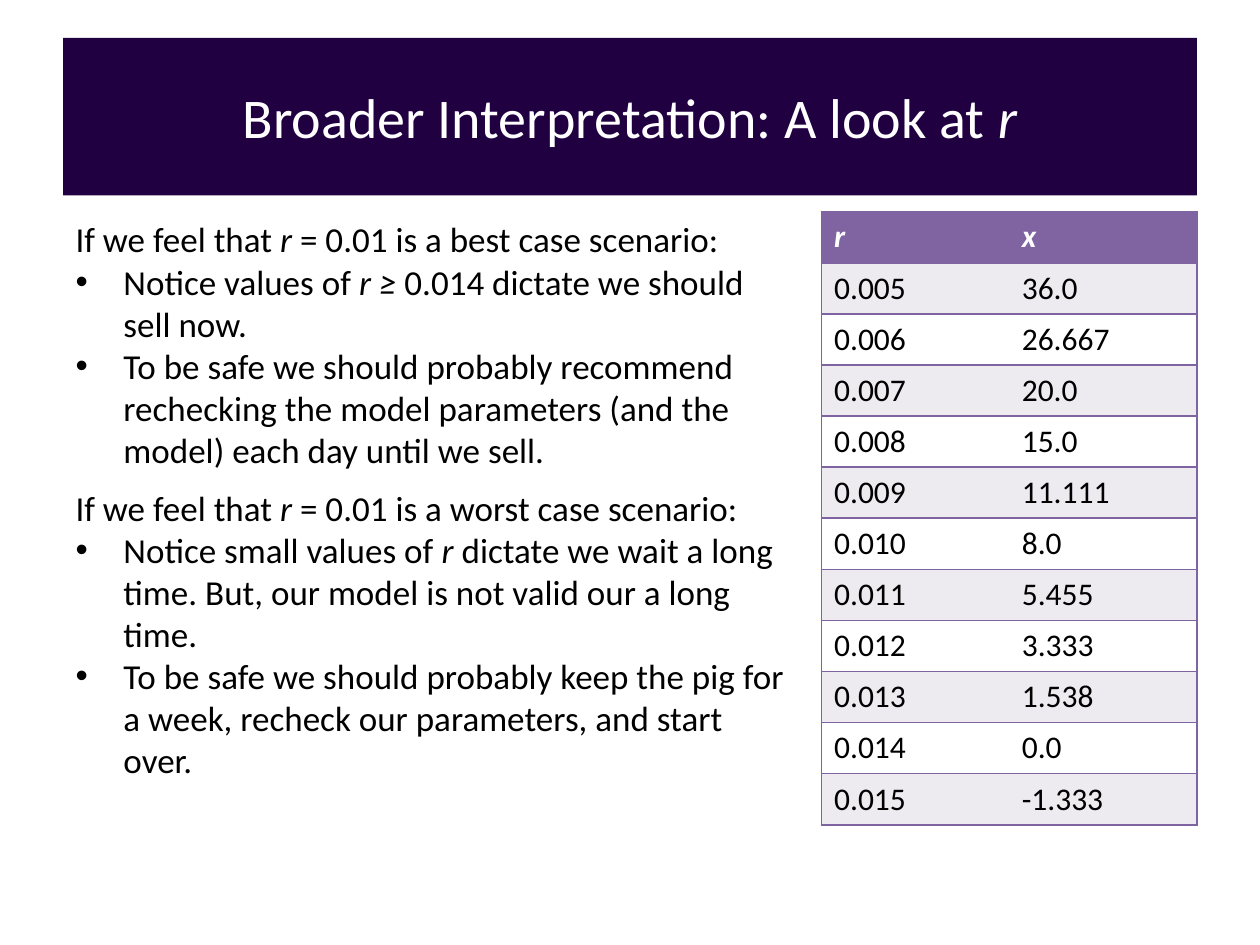
"""Build a slide on how the growth parameter r affects the best time to sell."""
from lxml.etree import SubElement
from pptx import Presentation
from pptx.dml.color import RGBColor
from pptx.enum.text import MSO_ANCHOR, MSO_AUTO_SIZE, PP_ALIGN
from pptx.oxml.ns import qn
from pptx.util import Inches, Pt

NAVY = RGBColor(0x21, 0x00, 0x42)
PURPLE = RGBColor(0x80, 0x64, 0xA2)
LAVENDER = RGBColor(0xED, 0xEA, 0xF0)
WHITE = RGBColor(0xFF, 0xFF, 0xFF)
BLACK = RGBColor(0x00, 0x00, 0x00)
NO_GRID_STYLE = "{2D5ABB26-0587-4C30-8999-92F81FD0307C}"


def write(paragraph, text, size=20, color=BLACK, bold=False, align=PP_ALIGN.LEFT):
    """Write text into a paragraph, with the parts between asterisks in italics."""
    paragraph.alignment = align
    paragraph.space_before = Pt(0)
    for position, part in enumerate(text.split("*")):
        if part:
            run = paragraph.add_run()
            run.text = part
            run.font.name = "Calibri"
            run.font.size = Pt(size)
            run.font.bold = bold
            run.font.italic = position % 2 == 1
            run.font.color.rgb = color


def add_border(cell, side):
    """Draw a purple line along one side of a table cell."""
    line = SubElement(cell._tc.get_or_add_tcPr(), qn(f"a:ln{side}"), w=str(Pt(1)))
    fill = SubElement(line, qn("a:solidFill"))
    SubElement(fill, qn("a:srgbClr"), val=str(PURPLE))


presentation = Presentation()
presentation.slide_width = Inches(10)
presentation.slide_height = Inches(7.5)
slide = presentation.slides.add_slide(presentation.slide_layouts[3])

title = slide.shapes.title
title.left, title.top = Inches(0.5), Inches(0.3)
title.width, title.height = Inches(9), Inches(1.25)
title.fill.solid()
title.fill.fore_color.rgb = NAVY
title.text_frame.vertical_anchor = MSO_ANCHOR.MIDDLE
write(title.text_frame.paragraphs[0], "Broader Interpretation: A look at *r*",
      size=32, color=WHITE, align=PP_ALIGN.CENTER)

scenarios = [
    (1, 1.68, 2.12, [
        "If we feel that *r *= 0.01 is a best case scenario:",
        "Notice values of *r ≥ *0.014 dictate we should sell now.",
        "To be safe we should probably recommend rechecking the model "
        "parameters (and the model) each day until we sell.",
    ]),
    (2, 3.81, 2.46, [
        "If we feel that *r *= 0.01 is a worst case scenario:",
        "Notice small values of *r *dictate we wait a long time. "
        "But, our model is not valid our a long time.",
        "To be safe we should probably keep the pig for a week, "
        "recheck our parameters, and start over.",
    ]),
]
for placeholder_index, top, height, lines in scenarios:
    body = slide.placeholders[placeholder_index]
    body.left, body.top = Inches(0.5), Inches(top)
    body.width, body.height = Inches(5.84), Inches(height)
    text_frame = body.text_frame
    text_frame.auto_size = MSO_AUTO_SIZE.NONE
    for number, line in enumerate(lines):
        paragraph = text_frame.add_paragraph() if number else text_frame.paragraphs[0]
        properties = paragraph._p.get_or_add_pPr()
        indent = Inches(0.38) if number else 0
        properties.set("marL", str(indent))
        properties.set("indent", str(-indent))
        if number:
            SubElement(properties, qn("a:buFont"), typeface="Arial")
            SubElement(properties, qn("a:buChar"), char="•")
        else:
            SubElement(properties, qn("a:buNone"))
        write(paragraph, line)

rows = [
    ("*r*", "*x*"),
    ("0.005", "36.0"),
    ("0.006", "26.667"),
    ("0.007", "20.0"),
    ("0.008", "15.0"),
    ("0.009", "11.111"),
    ("0.010", "8.0"),
    ("0.011", "5.455"),
    ("0.012", "3.333"),
    ("0.013", "1.538"),
    ("0.014", "0.0"),
    ("0.015", "-1.333"),
]
table = slide.shapes.add_table(
    len(rows), 2, Inches(6.52), Inches(1.68), Inches(2.98), Inches(4.87)).table
table._tbl.tblPr.find(qn("a:tableStyleId")).text = NO_GRID_STYLE
for row_index, values in enumerate(rows):
    is_header = row_index == 0
    band = LAVENDER if row_index % 2 else WHITE
    for column_index, value in enumerate(values):
        cell = table.cell(row_index, column_index)
        for side in ("R" if column_index else "L", "T", "B"):
            add_border(cell, side)
        cell.fill.solid()
        cell.fill.fore_color.rgb = PURPLE if is_header else band
        write(cell.text_frame.paragraphs[0], value, size=18,
              color=WHITE if is_header else BLACK, bold=is_header)

presentation.save("out.pptx")
